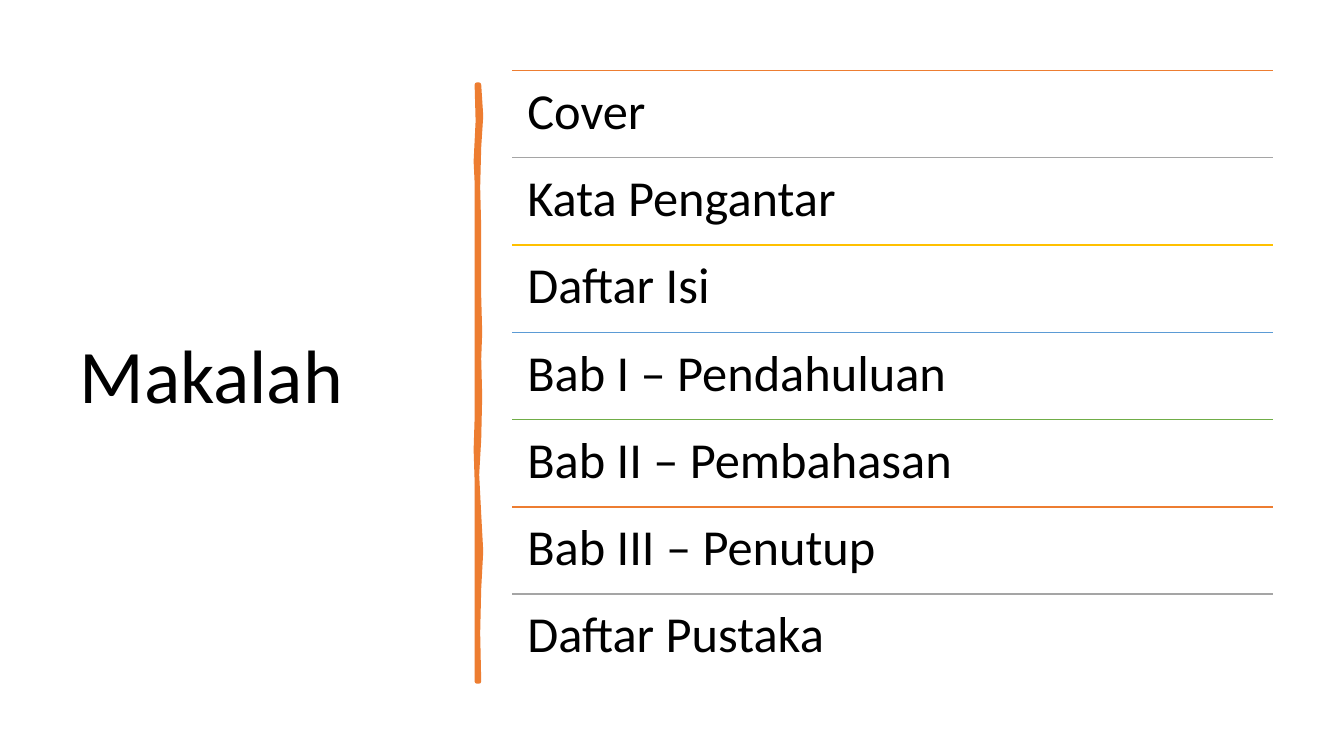
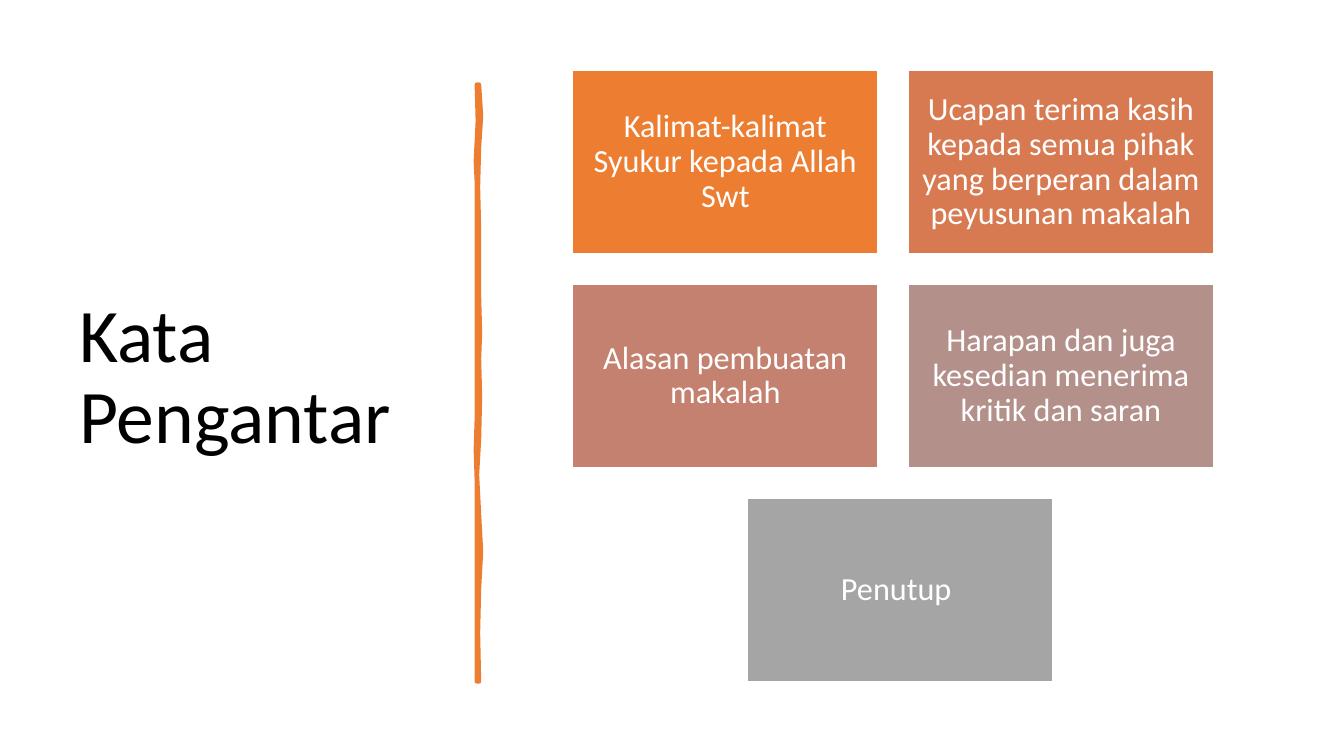
from lxml import etree
from pptx import Presentation
from pptx import util as u
from pptx.dml.color import RGBColor
from pptx.enum import shapes, text
from pptx.oxml.ns import qn

SLIDE_WIDTH, SLIDE_HEIGHT = 13.33, 7.5
FONT = "Calibri"
BLACK, WHITE, ORANGE, GRAY = "000000", "FFFFFF", "ED7D31", "A5A5A5"
RULE_COLORS = [ORANGE, GRAY, "FFC000", "5B9BD5", "70AD47"]
TOP = 0.7
LIST_LEFT, LIST_WIDTH, LIST_HEIGHT = 5.08, 7.55, 6.06
CARD_LEFT, CARD_WIDTH, CARD_HEIGHT, CARD_GAP = 5.68, 3.03, 1.82, 0.3

CHAPTERS = ["Cover", "Kata Pengantar", "Daftar Isi", "Bab I – Pendahuluan",
            "Bab II – Pembahasan", "Bab III – Penutup", "Daftar Pustaka"]
CARDS = [
    (0, 0, ORANGE, "Kalimat-kalimat Syukur kepada Allah Swt"),
    (1, 0, "D87A51", "Ucapan terima kasih kepada semua pihak yang berperan dalam peyusunan makalah"),
    (0, 1, "C48170", "Alasan pembuatan makalah"),
    (1, 1, "B4908B", "Harapan dan juga kesedian menerima kritik dan saran"),
    (0.52, 2, GRAY, "Penutup "),
]
STROKE_OUTLINE = [
    (4.75, 0.84), (4.77, 1.15), (4.75, 1.46), (4.74, 1.86), (4.75, 2.26),
    (4.75, 2.94), (4.76, 3.3), (4.75, 3.56), (4.76, 3.93), (4.75, 4.36),
    (4.73, 4.71), (4.75, 5.1), (4.77, 5.47), (4.75, 5.84), (4.74, 6.28),
    (4.75, 6.76), (4.73, 6.76), (4.73, 6.45), (4.73, 6.13), (4.73, 5.57),
    (4.73, 4.77), (4.72, 4.46), (4.73, 4.15), (4.73, 3.35), (4.73, 2.5),
    (4.73, 1.81), (4.72, 1.6), (4.74, 1.2), (4.73, 0.84),
]


def color(value):
    """Turn a hex string into a colour."""
    return RGBColor.from_string(value)


def inches(*values):
    """Turn numbers into lengths in inches."""
    return [u.Inches(value) for value in values]


def paint(shape, fill, line, width):
    """Give a shape a flat fill and outline without shadow."""
    shape.shadow.inherit = False
    shape.fill.solid()
    shape.fill.fore_color.rgb = color(fill)
    shape.line.color.rgb = color(line)
    shape.line.width = u.Pt(width)


def write(shape, words, size, ink, inset, anchor, align=text.PP_ALIGN.LEFT):
    """Write one wrapped paragraph into a shape."""
    frame = shape.text_frame
    frame.word_wrap = True
    frame.vertical_anchor = anchor
    frame.margin_left = frame.margin_right = u.Inches(inset)
    frame.margin_top = frame.margin_bottom = u.Inches(inset)
    paragraph = frame.paragraphs[0]
    paragraph.alignment = align
    paragraph.line_spacing = 0.9
    run = paragraph.add_run()
    run.text = words
    run.font.name = FONT
    run.font.size = u.Pt(size)
    run.font.color.rgb = color(ink)


def add_brush_stroke(slide):
    """Draw the uneven vertical stroke beside the title."""
    start, *points = [inches(*point) for point in STROKE_OUTLINE]
    builder = slide.shapes.build_freeform(*start, scale=1.0)
    builder.add_line_segments(points)
    paint(builder.convert_to_shape(), ORANGE, ORANGE, 3.25)


def add_titled_slide(presentation, title):
    """Add a white slide with the title on the left and the stroke."""
    slide = presentation.slides.add_slide(presentation.slide_layouts[6])
    slide.background.fill.solid()
    slide.background.fill.fore_color.rgb = color(WHITE)
    box = slide.shapes.add_textbox(*inches(0.69, TOP, 3.74, 6.11))
    write(box, title, 54, BLACK, 0.1, text.MSO_ANCHOR.MIDDLE)
    add_brush_stroke(slide)
    return slide


def add_rule(slide, top, ink):
    """Draw a thin line across the list column."""
    rule = slide.shapes.add_connector(
        shapes.MSO_CONNECTOR.STRAIGHT, *inches(LIST_LEFT, top, LIST_LEFT + LIST_WIDTH, top))
    rule.line.color.rgb = color(ink)
    rule.line.width = u.Pt(1)
    etree.SubElement(rule.element.spPr, qn("a:effectLst"))


def add_ruled_list(slide, items):
    """Stack items in equal rows, each below its own rule."""
    row_height = LIST_HEIGHT / len(items)
    for row, item in enumerate(items):
        top = TOP + row * row_height
        add_rule(slide, top, RULE_COLORS[row % len(RULE_COLORS)])
        box = slide.shapes.add_textbox(*inches(LIST_LEFT, top, LIST_WIDTH, row_height))
        write(box, item, 36, BLACK, 0.15, text.MSO_ANCHOR.TOP)


def add_card(slide, column, row, fill, words):
    """Place a coloured card on the card grid."""
    left = CARD_LEFT + column * (CARD_WIDTH + CARD_GAP)
    top = TOP + row * (CARD_HEIGHT + CARD_GAP)
    card = slide.shapes.add_shape(
        shapes.MSO_SHAPE.RECTANGLE, *inches(left, top, CARD_WIDTH, CARD_HEIGHT))
    paint(card, fill, WHITE, 1)
    write(card, words, 23, WHITE, 0.1, text.MSO_ANCHOR.MIDDLE, text.PP_ALIGN.CENTER)


def main():
    """Build and save the presentation."""
    presentation = Presentation()
    presentation.slide_width, presentation.slide_height = inches(SLIDE_WIDTH, SLIDE_HEIGHT)
    add_ruled_list(add_titled_slide(presentation, "Makalah"), CHAPTERS)
    preface = add_titled_slide(presentation, "Kata Pengantar")
    for card in CARDS:
        add_card(preface, *card)
    presentation.save("out.pptx")


if __name__ == "__main__":
    main()
